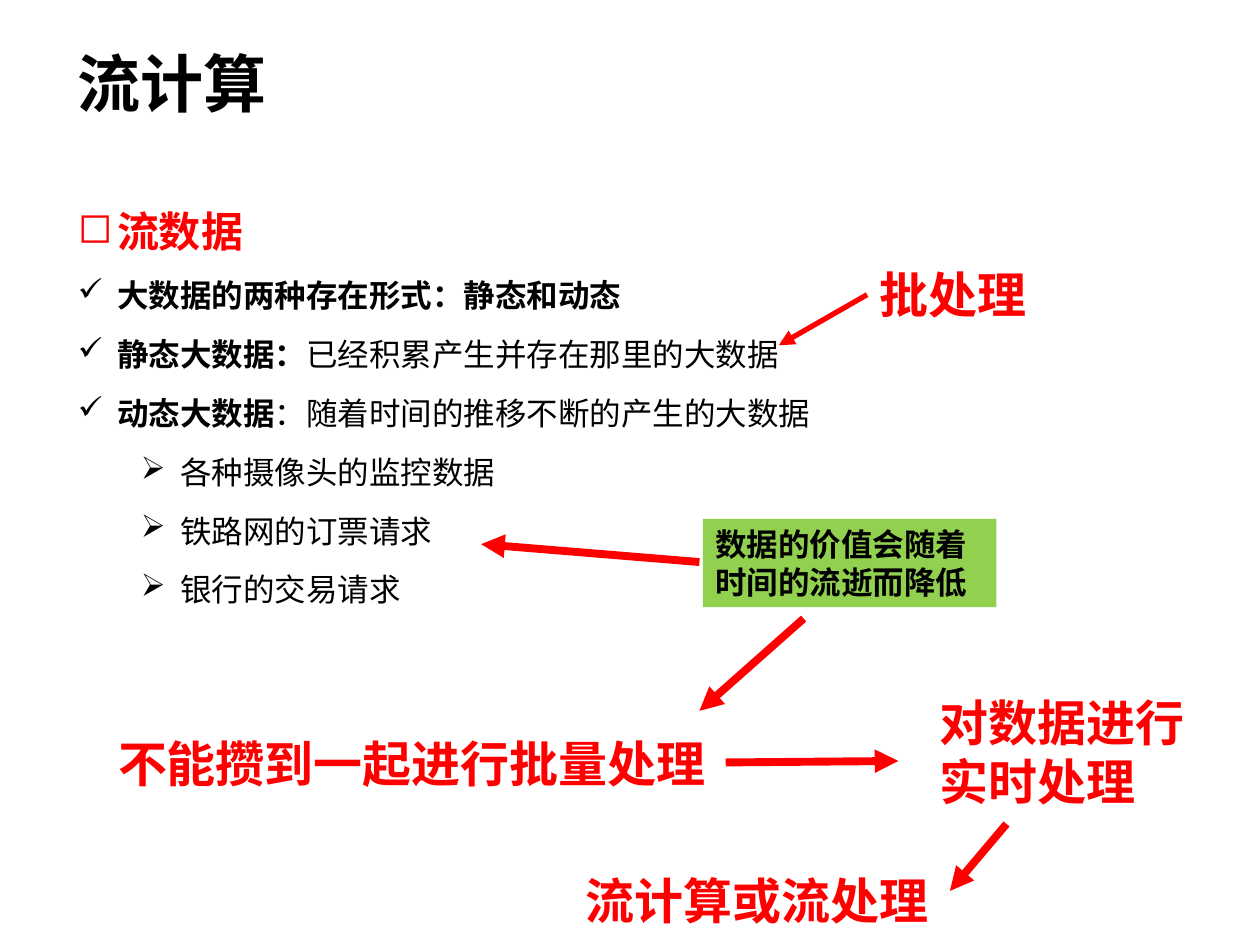
from pptx import Presentation, util as u
from pptx.dml.color import RGBColor
from pptx.enum import shapes, text
from pptx.oxml import parse_xml
from pptx.oxml.ns import nsdecls, qn

Cm, Pt = u.Cm, u.Pt
RED, BLACK, GREEN = "FF0000", "000000", "92D050"
SANS, LATIN, SERIF = "Noto Sans CJK SC", "Calibri", "Times New Roman"

# Content: level, bullet, size, colour, runs of (text, font, bold)
TITLE = "流计算"
BODY = [
    (0, "◻", 24, RED, [("流数据", LATIN, True)]),
    (0, "✓", 18, BLACK, [("大数据的两种存在形式：静态和动态", SANS, True)]),
    (0, "✓", 18, BLACK, [("静态大数据：", SANS, True),
                         ("已经积累产生并存在那里的大数据", LATIN, False)]),
    (0, "✓", 18, BLACK, [("动态大数据", SANS, True),
                         ("：随着时间的推移不断的产生的大数据", LATIN, False)]),
    (1, "➢", 18, BLACK, [("各种摄像头的监控数据", SANS, False)]),
    (1, "➢", 18, BLACK, [("铁路网的订票请求", SANS, False)]),
    (1, "➢", 18, BLACK, [("银行的交易请求", SANS, False)]),
]
# Callouts: text, (left, top, width, height) in cm, wrapped
CALLOUTS = [
    ("批处理", (17.48, 5.21, 4.8, 1.45), True),
    ("不能攒到一起进行批量处理", (2.13, 14.66, 12.34, 1.45), False),
    ("流计算或流处理", (11.56, 17.42, 8.79, 1.45), True),
    ("对数据进行实时处理", (18.69, 13.84, 5.87, 2.64), True),
]
VALUE_NOTE = ("数据的价值会随着时间的流逝而降低", (14.17, 10.46, 5.92, 1.78))
# Arrows: start x, y, end x, y in cm, line width in points
ARROWS = [
    (17.48, 5.94, 15.7, 6.96, 3),
    (14.1, 11.33, 9.7, 10.97, 4.5),
    (16.2, 12.47, 14.1, 14.33, 4.5),
    (14.63, 15.37, 18.11, 15.34, 4.5),
    (20.29, 16.61, 19.15, 17.96, 4.5),
]


def rgb(colour):
    return RGBColor.from_string(colour)


def style_run(run, font, size, colour, bold):
    run.font.name, run.font.size, run.font.bold = font, Pt(size), bold
    run.font.color.rgb = rgb(colour)
    east_asian = parse_xml(f'<a:ea {nsdecls("a")} typeface="{SANS}"/>')
    run.font._element.find(qn("a:latin")).addnext(east_asian)


def write(frame, content, font, size, colour, wrap=True):
    frame.word_wrap = wrap
    frame.vertical_anchor = text.MSO_ANCHOR.TOP
    paragraph = frame.paragraphs[0]
    paragraph.alignment = text.PP_ALIGN.LEFT
    run = paragraph.add_run()
    run.text = content
    style_run(run, font, size, colour, True)


def set_bullet(paragraph, level, bullet, colour):
    properties = paragraph._p.get_or_add_pPr()
    properties.set("marL", str(Cm(0.79 + 1.27 * level)))
    properties.set("indent", str(Cm(-0.79)))
    for xml in (f'<a:buClr {nsdecls("a")}><a:srgbClr val="{colour}"/></a:buClr>',
                f'<a:buChar {nsdecls("a")} char="{bullet}"/>'):
        properties.append(parse_xml(xml))


def add_arrow(slide, x1, y1, x2, y2, width):
    arrow = slide.shapes.add_connector(
        shapes.MSO_CONNECTOR.STRAIGHT, *map(Cm, (x1, y1, x2, y2)))
    arrow.line.color.rgb = rgb(RED)
    arrow.line.width = Pt(width)
    arrow.line._get_or_add_ln().append(
        parse_xml(f'<a:tailEnd {nsdecls("a")} type="triangle"/>'))
    arrow._element.spPr.append(parse_xml(f'<a:effectLst {nsdecls("a")}/>'))


def main():
    presentation = Presentation()
    presentation.slide_width, presentation.slide_height = Cm(25.4), Cm(19.05)
    slide = presentation.slides.add_slide(presentation.slide_layouts[5])

    # Title
    title = slide.shapes.title
    title.left, title.top, title.width, title.height = map(Cm, (1.3, 0.76, 22.86, 3.18))
    write(title.text_frame, TITLE, SANS, 36, BLACK)

    # Bulleted body
    frame = slide.shapes.add_textbox(*map(Cm, (1.32, 4.01, 22.81, 9.58))).text_frame
    frame.word_wrap = True
    for index, (level, bullet, size, colour, runs) in enumerate(BODY):
        paragraph = frame.add_paragraph() if index else frame.paragraphs[0]
        paragraph.level = level
        paragraph.space_before = Pt(12)
        set_bullet(paragraph, level, bullet, colour)
        for content, font, bold in runs:
            run = paragraph.add_run()
            run.text = content
            style_run(run, font, size, colour, bold)

    # Green note
    content, place = VALUE_NOTE
    note = slide.shapes.add_shape(shapes.MSO_SHAPE.RECTANGLE, *map(Cm, place))
    note.shadow.inherit = False
    note.fill.solid()
    note.fill.fore_color.rgb = rgb(GREEN)
    note.line.fill.background()
    write(note.text_frame, content, SERIF, 18, BLACK)

    # Red callouts and the arrows between them
    for content, place, wrap in CALLOUTS:
        box = slide.shapes.add_textbox(*map(Cm, place))
        write(box.text_frame, content, SANS, 28, RED, wrap)
    for arrow in ARROWS:
        add_arrow(slide, *arrow)

    presentation.save("out.pptx")


if __name__ == "__main__":
    main()
